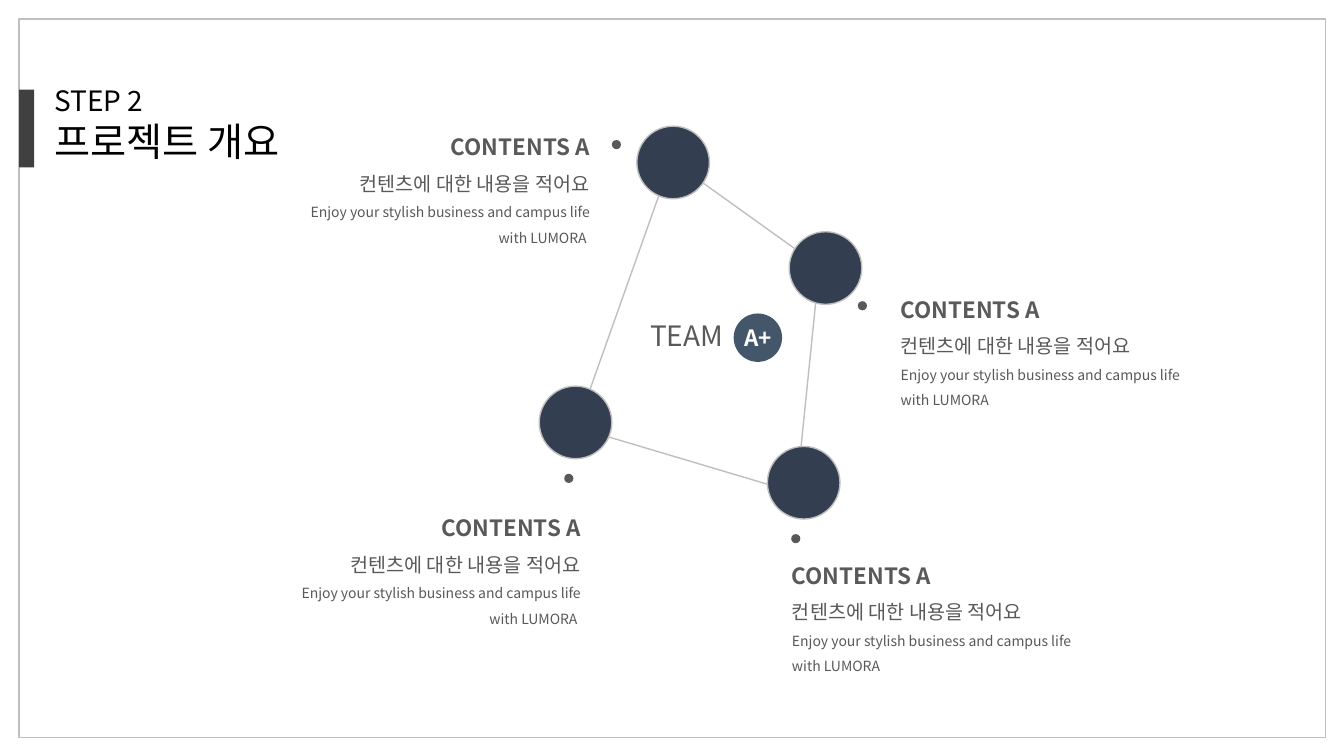
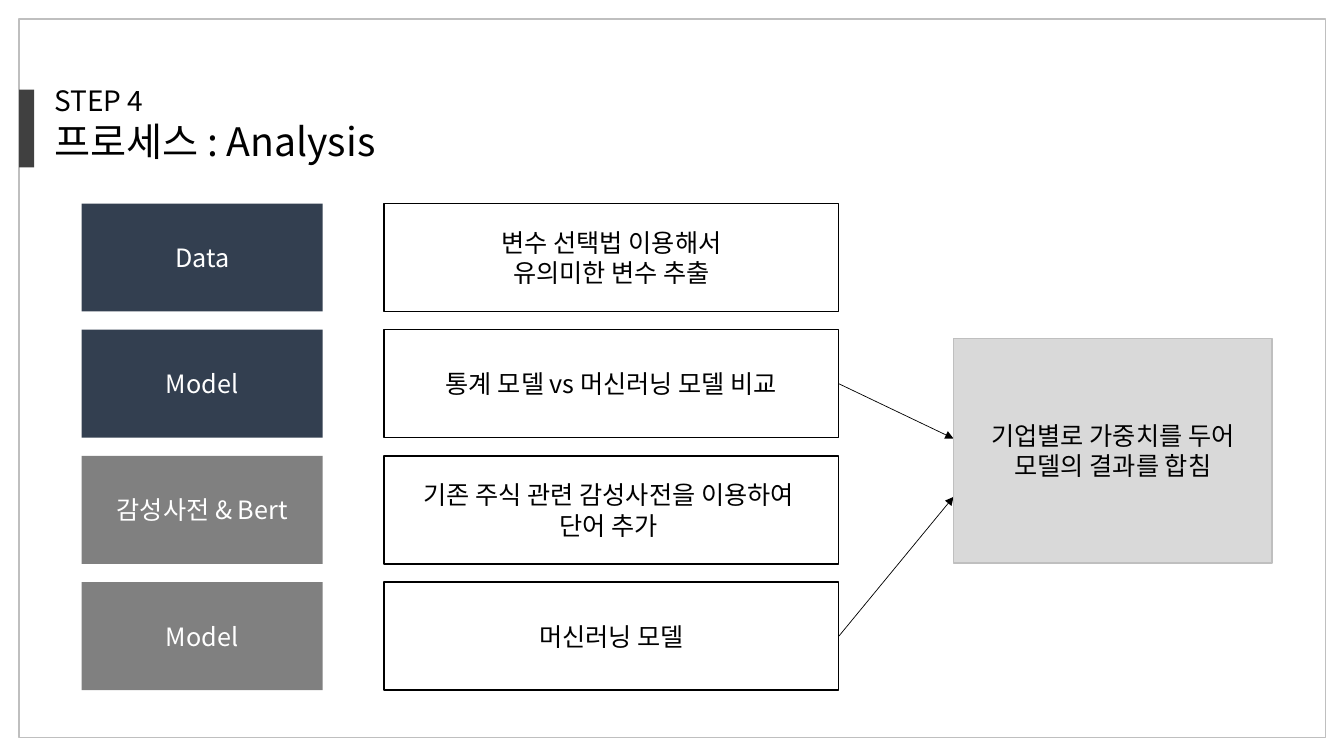
from lxml.etree import SubElement
from pptx import Presentation
from pptx.dml.color import RGBColor
from pptx.enum.shapes import MSO_CONNECTOR, MSO_SHAPE
from pptx.enum.text import MSO_ANCHOR, MSO_AUTO_SIZE, PP_ALIGN
from pptx.oxml import parse_xml
from pptx.oxml.ns import nsdecls, qn
from pptx.util import Cm, Pt

FONT = "Noto Sans CJK KR"
NAVY, SLATE, CHARCOAL, GRAY = "333F50", "445669", "404040", "808080"
TEXT_GRAY, SILVER, PALE = "595959", "BFBFBF", "D9D9D9"
BLACK, WHITE = "000000", "FFFFFF"
LEFT, CENTER, RIGHT = PP_ALIGN.LEFT, PP_ALIGN.CENTER, PP_ALIGN.RIGHT
RECT, OVAL = MSO_SHAPE.RECTANGLE, MSO_SHAPE.OVAL

# Text styles: one format per paragraph
TITLE = [dict(size=20), dict(size=28)]
CAPTION = [
    dict(size=16, bold=True, color=TEXT_GRAY),
    dict(size=14, color=TEXT_GRAY),
    dict(size=10, color=TEXT_GRAY),
]
BODY = dict(size=18)
LABEL = dict(size=18, color=WHITE)
BADGE = dict(size=16, bold=True, color=WHITE)
TEAM = dict(size=20, color=TEXT_GRAY)

# Slide content; all lengths are in centimetres
OVERVIEW_TITLE = ["STEP 2", "프로젝트 개요"]
CAPTION_LINES = [
    "CONTENTS A",
    "컨텐츠에 대한 내용을 적어요",
    "Enjoy your stylish business and campus life with LUMORA",
]
# corner of the outline, node, dot, caption (left, top), caption alignment
MEMBERS = [
    ((16.92, 4.04), (16.05, 3.18), (15.42, 3.53), (7.06, 2.9), RIGHT),
    ((20.65, 6.71), (19.89, 5.84), (21.62, 7.59), (22.45, 6.99), LEFT),
    ((20.07, 12.42), (19.34, 11.25), (19.94, 13.46), (19.71, 13.69), LEFT),
    ((14.53, 10.77), (13.59, 9.73), (14.22, 11.94), (6.83, 12.5), RIGHT),
]
NODE_SIZE, DOT_SIZE, BADGE_SIZE = 1.83, 0.23, 1.22

ANALYSIS_TITLE = ["STEP 4", "프로세스 : Analysis"]
# label, label colour, description, height where its arrow meets the result
STEPS = [
    ("Data", NAVY, ["변수 선택법 이용해서", "유의미한 변수 추출"], None),
    ("Model", NAVY, ["통계 모델 vs 머신러닝 모델 비교"], 11.05),
    ("감성사전 & Bert", GRAY, ["기존 주식 관련 감성사전을 이용하여 ", "단어 추가 "], None),
    ("Model", GRAY, ["머신러닝 모델"], 12.52),
]
RESULT = ["기업별로 가중치를 두어", "모델의 결과를 합침"]
STEP_TOP, STEP_PITCH, STEP_HEIGHT = 5.13, 3.18, 2.72
LABEL_LEFT, LABEL_WIDTH = 2.06, 6.07
DETAIL_LEFT, DETAIL_WIDTH = 9.68, 11.46
RESULT_BOX = (24.03, 8.53, 8.03, 5.66)


def rgb(color):
    return RGBColor.from_string(color)


def paint(shape, fill=None, line=None):
    shape.shadow.inherit = False
    if fill:
        shape.fill.solid()
        shape.fill.fore_color.rgb = rgb(fill)
    else:
        shape.fill.background()
    if line:
        shape.line.color.rgb = rgb(line)
        shape.line.width = Pt(1)
    else:
        shape.line.fill.background()


def write(frame, lines, styles, align, spacing=None):
    """Fill a text frame; styles is one format or one per line."""
    if isinstance(styles, dict):
        styles = [styles] * len(lines)
    for number, (line, style) in enumerate(zip(lines, styles)):
        paragraph = frame.add_paragraph() if number else frame.paragraphs[0]
        paragraph.alignment = align
        if spacing:
            paragraph.line_spacing = spacing
        run = paragraph.add_run()
        run.text = line
        values = dict(name=FONT, size=Pt(style["size"]), bold=style.get("bold", False))
        for attribute, value in values.items():
            setattr(run.font, attribute, value)
        run.font.color.rgb = rgb(style.get("color", BLACK))
        latin = run._r.get_or_add_rPr().find(qn("a:latin"))
        latin.addnext(parse_xml(f'<a:ea {nsdecls("a")} typeface="{FONT}"/>'))


def add_figure(shapes, kind, box, fill=None, line=None, lines=(), style=BODY, wrap=True):
    figure = shapes.add_shape(kind, *map(Cm, box))
    paint(figure, fill, line)
    if lines:
        figure.text_frame.word_wrap = wrap
        figure.text_frame.vertical_anchor = MSO_ANCHOR.MIDDLE
        write(figure.text_frame, lines, style, CENTER)
    return figure


def add_text(shapes, box, lines, styles, align=LEFT, spacing=None):
    frame = shapes.add_textbox(*map(Cm, box)).text_frame
    frame.word_wrap = True
    frame.auto_size = MSO_AUTO_SIZE.SHAPE_TO_FIT_TEXT
    write(frame, lines, styles, align, spacing)
    return frame


def add_titled_slide(deck, title):
    shapes = deck.slides.add_slide(deck.slide_layouts[6]).shapes
    add_figure(shapes, RECT, (0.48, 0.48, 32.92, 18.11), line=SILVER)
    add_figure(shapes, RECT, (0.48, 2.26, 0.38, 1.96), CHARCOAL)
    frame = add_text(shapes, (1.12, 1.98, 13.49, 2.31), title, TITLE)
    for paragraph in frame.paragraphs:
        outline = parse_xml(
            f'<a:ln {nsdecls("a")} w="9525"><a:solidFill><a:srgbClr val="{BLACK}">'
            '<a:alpha val="50000"/></a:srgbClr></a:solidFill></a:ln>'
        )
        paragraph.runs[0]._r.get_or_add_rPr().insert(0, outline)
    return shapes


def add_arrow(shapes, source, end_x, end_y):
    """Draw an arrow from the right side of source to a point."""
    arrow = shapes.add_connector(MSO_CONNECTOR.STRAIGHT, 0, 0, Cm(end_x), Cm(end_y))
    arrow.begin_connect(source, 3)
    arrow.line.color.rgb = rgb(BLACK)
    arrow.line.width = Pt(0.5)
    SubElement(arrow.line._get_or_add_ln(), qn("a:tailEnd"), type="triangle")
    SubElement(arrow._element.spPr, qn("a:effectLst"))


def build_overview(deck):
    shapes = add_titled_slide(deck, OVERVIEW_TITLE)
    corners, nodes, dots, captions, aligns = zip(*MEMBERS)
    points = [(Cm(x), Cm(y)) for x, y in corners]
    builder = shapes.build_freeform(*points[0])
    builder.add_line_segments(points[1:], close=True)
    paint(builder.convert_to_shape(), line=SILVER)
    for node in nodes:
        add_figure(shapes, OVAL, (*node, NODE_SIZE, NODE_SIZE), NAVY, SILVER)
    for dot in dots:
        add_figure(shapes, OVAL, (*dot, DOT_SIZE, DOT_SIZE), TEXT_GRAY)

    team = shapes.add_group_shape().shapes
    add_figure(team, OVAL, (18.49, 7.9, BADGE_SIZE, BADGE_SIZE), SLATE,
               lines=["A+"], style=BADGE, wrap=False)
    add_text(team, (16.05, 7.9, 2.51, 1.14), ["TEAM"], TEAM, CENTER)

    for caption, align in zip(captions, aligns):
        ending = " " if align == RIGHT else ""
        lines = [*CAPTION_LINES[:-1], CAPTION_LINES[-1] + ending]
        add_text(shapes, (*caption, 8.05, 3.45), lines, CAPTION, align, 1.5)


def build_analysis(deck):
    shapes = add_titled_slide(deck, ANALYSIS_TITLE)
    arrows = []
    for row, (label, color, detail, arrow_y) in enumerate(STEPS):
        top = STEP_TOP + row * STEP_PITCH
        add_figure(shapes, RECT, (LABEL_LEFT, top, LABEL_WIDTH, STEP_HEIGHT),
                   color, lines=[label], style=LABEL)
        detail_box = add_figure(shapes, RECT, (DETAIL_LEFT, top, DETAIL_WIDTH, STEP_HEIGHT),
                                WHITE, BLACK, detail)
        if arrow_y:
            arrows.append((detail_box, arrow_y))
    for source, arrow_y in arrows:
        add_arrow(shapes, source, RESULT_BOX[0], arrow_y)
    add_figure(shapes, RECT, RESULT_BOX, PALE, SILVER, RESULT)


def main():
    deck = Presentation()
    deck.slide_width, deck.slide_height = Cm(33.87), Cm(19.05)
    build_overview(deck)
    build_analysis(deck)
    deck.save("out.pptx")


if __name__ == "__main__":
    main()
